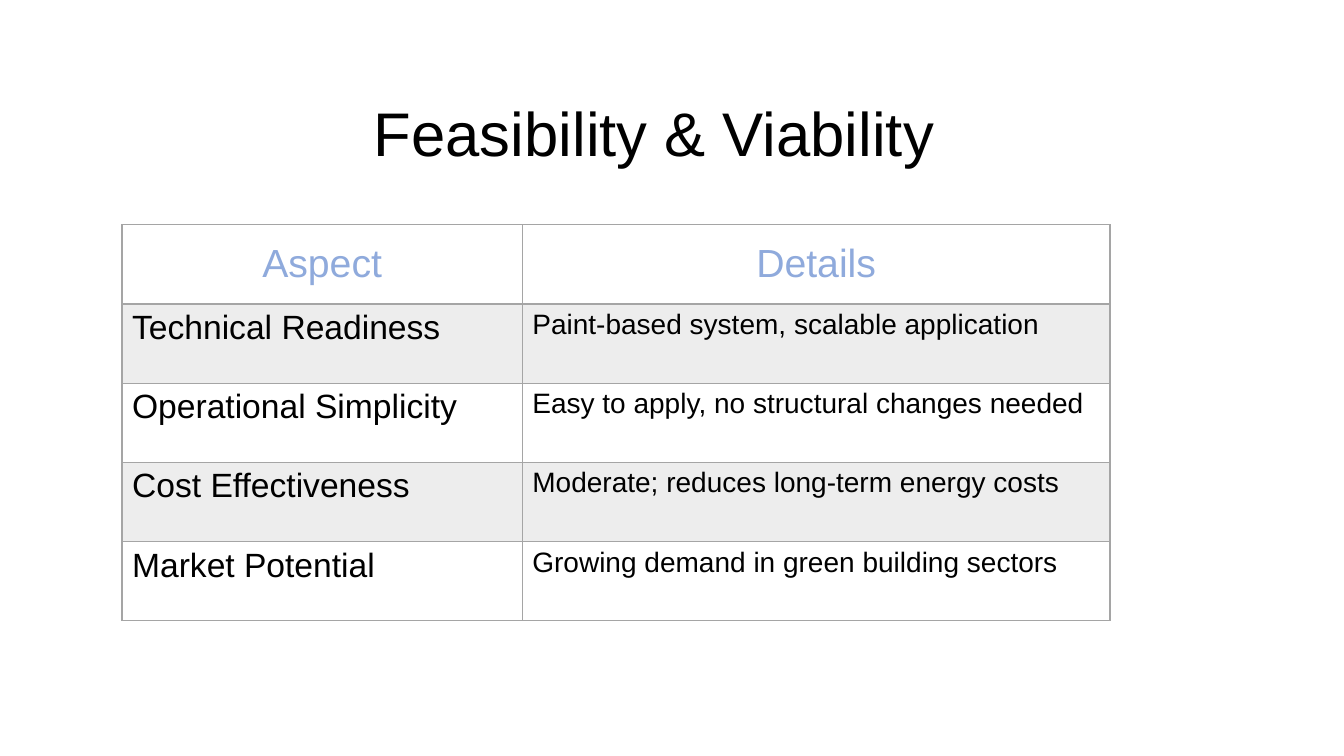
from lxml import etree
from pptx import Presentation
from pptx.dml.color import RGBColor
from pptx.enum.text import MSO_ANCHOR, PP_ALIGN
from pptx.oxml.ns import qn
from pptx.util import Pt

LEFT, CENTER = PP_ALIGN.LEFT, PP_ALIGN.CENTER
TOP, MIDDLE = MSO_ANCHOR.TOP, MSO_ANCHOR.MIDDLE
SCALE = 9144  # EMU in one px, 100 px to the inch
FONT = "Arial"
COLORS = {
    "ink": "000000",
    "head": "8FAADC",
    "grid": "A5A5A5",
}
ROWS = [
    ("Aspect", "Details"),
    ("Technical Readiness", "Paint-based system, scalable application"),
    ("Operational Simplicity", "Easy to apply, no structural changes needed"),
    ("Cost Effectiveness", "Moderate; reduces long-term energy costs"),
    ("Market Potential", "Growing demand in green building sectors"),
]


def px(n):
    return n * SCALE


def write(para, text, size=18, color="ink", align=LEFT):
    para.alignment = align
    run = para.add_run()
    run.text = text
    font = run.font
    font.name, font.size, font.bold = FONT, Pt(size), False
    font.color.rgb = RGBColor.from_string(COLORS[color])


def shade(cell, alpha):
    cell.fill.solid()
    cell.fill.fore_color.rgb = RGBColor.from_string(COLORS["grid"])
    tint = cell._tc.tcPr.find(f".//{qn('a:srgbClr')}")
    etree.SubElement(tint, qn("a:alpha"), val=str(alpha * 1000))


def edge(cell, **widths):
    # Borders come before the fill in the cell properties
    props = cell._tc.get_or_add_tcPr()
    for i, side in enumerate("LRTB"):
        line = etree.Element(qn(f"a:ln{side}"), w=str(Pt(widths.get(side, 1))))
        fill = etree.SubElement(line, qn("a:solidFill"))
        etree.SubElement(fill, qn("a:srgbClr"), val=COLORS["grid"])
        props.insert(i, line)


def add_title(slide, x, y, w, h):
    title = slide.shapes.title
    title.left, title.top, title.width, title.height = map(px, (x, y, w, h))
    frame = title.text_frame
    frame.vertical_anchor = MIDDLE
    para = frame.paragraphs[0]
    para.line_spacing = 0.9
    write(para, "Feasibility & Viability", size=44, align=CENTER)


def add_grid(slide, x, y, w, h, first):
    table = slide.shapes.add_table(len(ROWS), 2, *map(px, (x, y, w, h))).table
    table.first_row = table.horz_banding = False
    for col, width in zip(table.columns, (first, w - first)):
        col.width = px(width)
    for r, texts in enumerate(ROWS):
        table.rows[r].height = px(h) // len(ROWS)
        for c, text in enumerate(texts):
            cell = table.cell(r, c)
            para = cell.text_frame.paragraphs[0]
            if r % 2:
                shade(cell, 20)
            else:
                cell.fill.background()
            # The rule under the header is twice as thick
            edge(cell, T=2 if r == 1 else 1, B=2 if r == 0 else 1)
            if r == 0:
                cell.vertical_anchor = MIDDLE
                write(para, text, size=28, color="head", align=CENTER)
            else:
                cell.vertical_anchor = TOP
                write(para, text, size=(24, 20)[c])


def main():
    deck = Presentation()
    deck.slide_width, deck.slide_height = px(1333), px(750)
    slide = deck.slides.add_slide(deck.slide_layouts[5])  # Title Only
    add_title(slide, 198, 61, 902, 149)
    add_grid(slide, 121, 223, 980, 393, first=397)
    deck.save("out.pptx")


if __name__ == "__main__":
    main()
